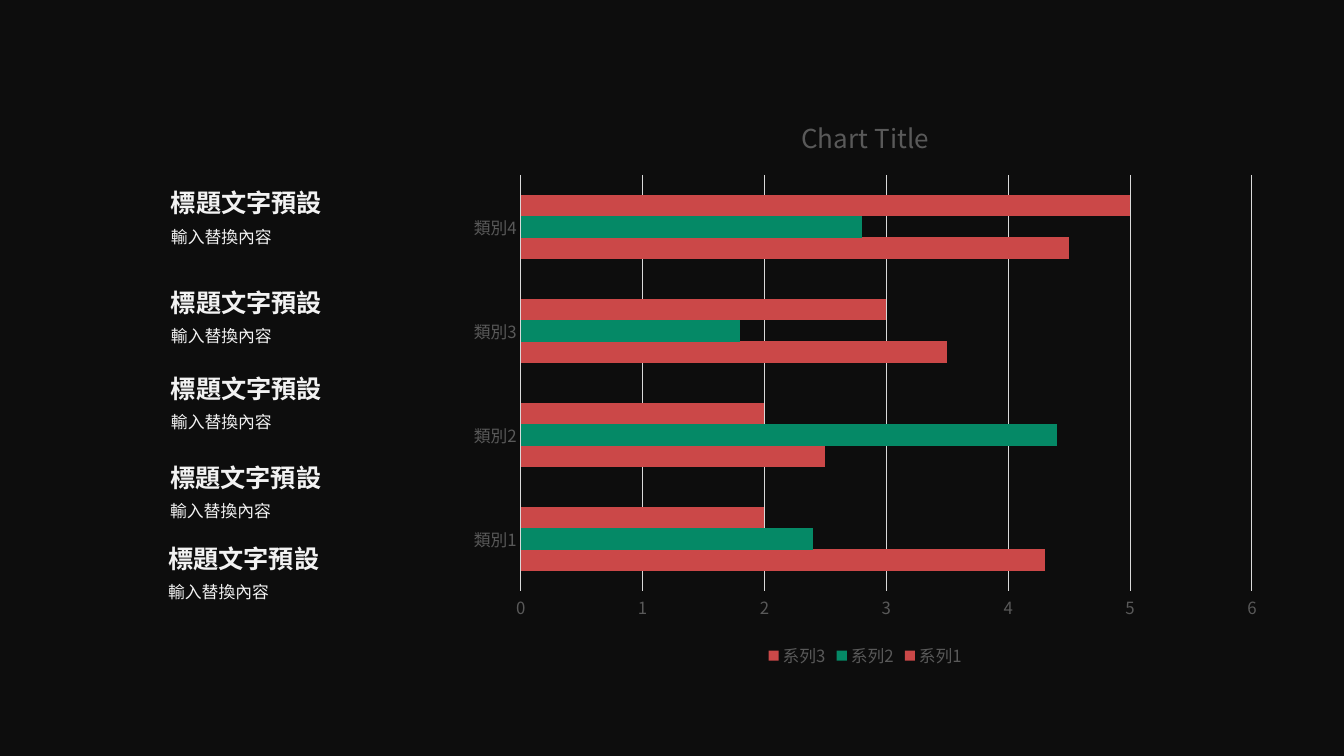
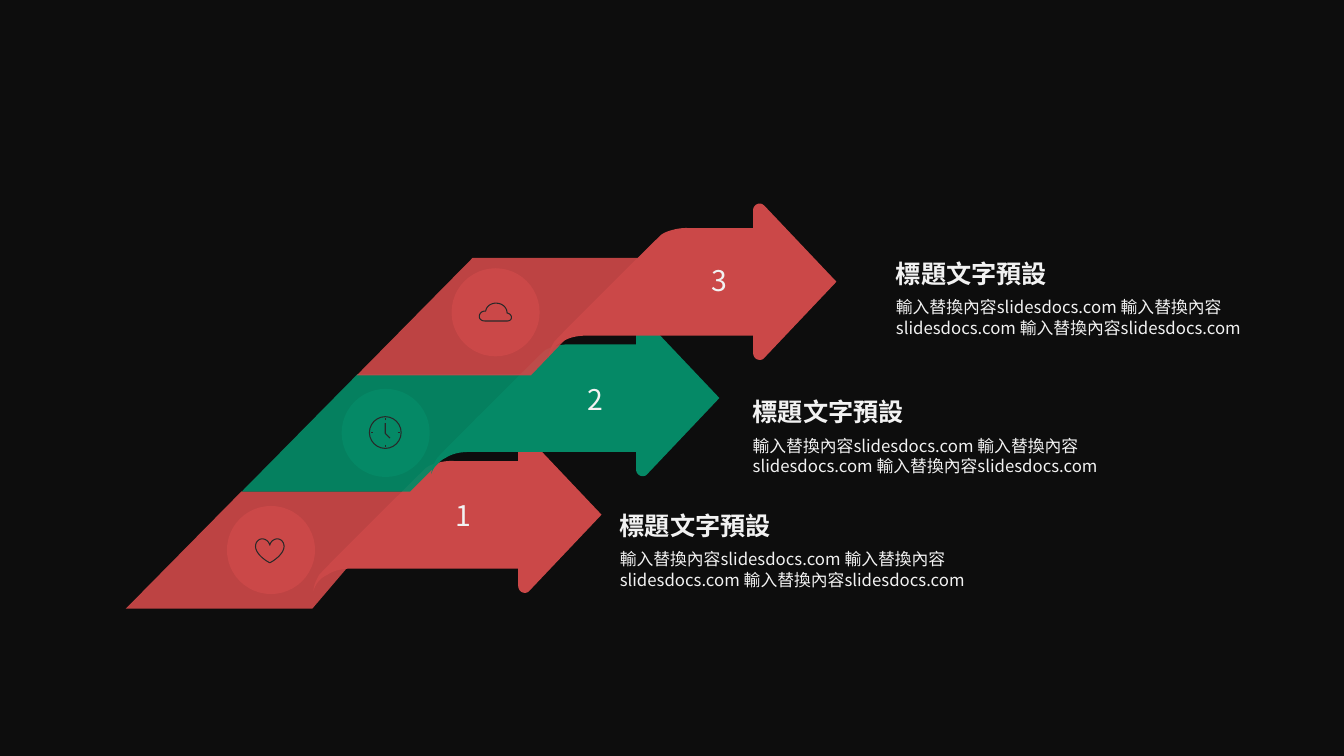
from dataclasses import dataclass

from lxml import etree
from pptx import Presentation
from pptx.chart.data import CategoryChartData
from pptx.dml.color import RGBColor
from pptx.enum.chart import XL_CHART_TYPE, XL_LEGEND_POSITION, XL_TICK_MARK
from pptx.enum.shapes import MSO_CONNECTOR, MSO_SHAPE
from pptx.enum.text import MSO_ANCHOR, PP_ALIGN
from pptx.oxml.ns import qn
from pptx.util import Cm, Pt

BAR_CLUSTERED = XL_CHART_TYPE.BAR_CLUSTERED
LEGEND_BOTTOM = XL_LEGEND_POSITION.BOTTOM
NO_TICK = XL_TICK_MARK.NONE
STRAIGHT = MSO_CONNECTOR.STRAIGHT
OVAL = MSO_SHAPE.OVAL
TOP, MIDDLE = MSO_ANCHOR.TOP, MSO_ANCHOR.MIDDLE
LEFT, CENTER = PP_ALIGN.LEFT, PP_ALIGN.CENTER

FONT = "Noto Sans CJK SC"
BACKDROP, LIGHT, INK = "0D0D0D", "F2F2F2", "282828"
RED, GREEN = "CB4848", "058966"
LABEL_GREY, GRID_GREY = "595959", "D9D9D9"

HEADING = "標題文字預設"
SHORT_BODY = "輸入替換內容"
LONG_BODY = " ".join([SHORT_BODY + "slidesdocs.com"] * 3)

DISC_SIZE = 2.22
BAND_HEIGHT = 2.96

ARROW = [
    (5.33, 3.94), (5.36, 3.94, 5.41, 3.93, 5.44, 3.89), (7.26, 1.97), (5.44, 0.05),
    (5.41, 0.03, 5.38, 0, 5.33, 0), (5.23, 0, 5.16, 0.08, 5.16, 0.17),
    (5.16, 0.62), (3.56, 0.62), (3.45, 0.61, 3.3, 0.62, 3.15, 0.66),
    (3.02, 0.69, 2.9, 0.74, 2.84, 0.79), (2.8, 0.82, 0.28, 3.32, 0.15, 3.48),
    (0.07, 3.6, 0, 3.78, 0, 3.89), (0.05, 3.71, 0.18, 3.56, 0.36, 3.48),
    (0.51, 3.38, 0.71, 3.33, 0.94, 3.33), (5.16, 3.33), (5.16, 3.76),
    (5.16, 3.86, 5.23, 3.94, 5.33, 3.94),
]
HEART = [
    (1.08, 0.99), (1.1, 0.9, 1.18, 0.83, 1.27, 0.83), (1.37, 0.83, 1.44, 0.92, 1.44, 1.02),
    (1.44, 1.22, 1.14, 1.41, 1.08, 1.43), (1.02, 1.41, 0.72, 1.22, 0.72, 1.02),
    (0.72, 0.92, 0.79, 0.83, 0.89, 0.83), (0.98, 0.83, 1.06, 0.9, 1.08, 0.99),
]
CLOUD = [
    (1.4, 1.33), (0.84, 1.33), (0.76, 1.33, 0.7, 1.28, 0.7, 1.22),
    (0.7, 1.14, 0.76, 1.08, 0.84, 1.08), (0.86, 1.08), (0.88, 0.96, 0.99, 0.88, 1.12, 0.88),
    (1.28, 0.88, 1.4, 0.99, 1.4, 1.13), (1.46, 1.14, 1.51, 1.18, 1.51, 1.24),
    (1.51, 1.3, 1.46, 1.33, 1.4, 1.33),
]
CLOCK_HANDS = [(1.1, 0.86), (1.1, 1.12), (1.22, 1.24)]


@dataclass
class Entry:
    left: float
    top: float
    body: str
    width: float


@dataclass
class Step:
    number: str
    color: str
    band: tuple
    band_foot: float
    arrow: tuple
    label: tuple
    disc: tuple
    icon: str
    entry: Entry


ENTRIES = [
    Entry(left, top, SHORT_BODY, 15.75)
    for left, top in [(4.06, 4.6), (4.06, 7.11), (4.06, 9.27), (4.04, 11.51), (3.99, 13.56)]
]
STEPS = [
    Step("1", RED, (3.17, 12.38), 4.7, (7.9, 11), (11, 12.5), (5.72, 12.75), "heart",
         Entry(15.37, 12.73, LONG_BODY, 9.7)),
    Step("2", GREEN, (6.09, 9.43), 4.24, (10.87, 8.06), (14.33, 9.58), (8.61, 9.8), "clock",
         Entry(18.72, 9.86, LONG_BODY, 9.7)),
    Step("3", RED, (8.99, 6.5), 4.39, (13.82, 5.13), (17.45, 6.58), (11.38, 6.76), "cloud",
         Entry(22.33, 6.38, LONG_BODY, 9.7)),
]


def rgb(color: str) -> RGBColor:
    return RGBColor.from_string(color)


def style_font(font, size: float, color: str, bold: bool = False) -> None:
    font.name = FONT
    font.size = Pt(size)
    font.bold = bold
    font.color.rgb = rgb(color)


def add_east_asian_fonts(root) -> None:
    for latin in list(root.iter(qn("a:latin"))):
        east_asian = etree.Element(qn("a:ea"))
        east_asian.set("typeface", FONT)
        latin.addnext(east_asian)


def add_text(slide, text: str, left: float, top: float, width: float, height: float,
             size: float, bold: bool = False, align=LEFT, anchor=TOP,
             inset_x: float = 0.25, inset_y: float = 0.13) -> None:
    box = slide.shapes.add_textbox(Cm(left), Cm(top), Cm(width), Cm(height))
    frame = box.text_frame
    frame.word_wrap = True
    frame.vertical_anchor = anchor
    frame.margin_left = frame.margin_right = Cm(inset_x)
    frame.margin_top = frame.margin_bottom = Cm(inset_y)
    frame.text = text
    frame.paragraphs[0].alignment = align
    style_font(frame.paragraphs[0].runs[0].font, size, LIGHT, bold)
    add_east_asian_fonts(box.element)


def add_entry(slide, entry: Entry) -> None:
    add_text(slide, entry.body, entry.left, entry.top + 0.98, entry.width, 1.55, 12)
    add_text(slide, HEADING, entry.left, entry.top, 6.1, 0.97, 18, bold=True)


def paint(shape, color: str, opacity: int = 100) -> None:
    shape.shadow.inherit = False
    shape.fill.solid()
    shape.fill.fore_color.rgb = rgb(color)
    shape.line.fill.background()
    if opacity < 100:
        tint = shape.element.spPr.find(".//" + qn("a:srgbClr"))
        etree.SubElement(tint, qn("a:alpha")).set("val", str(opacity * 1000))


def stroke(shape) -> None:
    shape.shadow.inherit = False
    shape.fill.background()
    shape.line.color.rgb = rgb(INK)
    shape.line.width = Pt(0.75)


def flatten(segments: list, divisions: int = 10) -> list:
    points = [segments[0]]
    for segment in segments[1:]:
        if len(segment) == 2:
            points.append(segment)
            continue
        controls = [points[-1], segment[:2], segment[2:4], segment[4:]]
        for index in range(1, divisions + 1):
            t = index / divisions
            weights = ((1 - t) ** 3, 3 * t * (1 - t) ** 2, 3 * t * t * (1 - t), t ** 3)
            points.append(tuple(
                sum(weight * point[axis] for weight, point in zip(weights, controls))
                for axis in (0, 1)
            ))
    return points


def add_outline(slide, origin: tuple, segments: list, close: bool = True):
    points = [(Cm(origin[0] + x), Cm(origin[1] + y)) for x, y in flatten(segments)]
    builder = slide.shapes.build_freeform(*points[0], scale=1.0)
    builder.add_line_segments(points[1:], close=close)
    return builder.convert_to_shape()


def add_circle(slide, left: float, top: float, size: float):
    return slide.shapes.add_shape(OVAL, Cm(left), Cm(top), Cm(size), Cm(size))


def add_clock(slide, origin: tuple) -> None:
    x, y = origin
    stroke(add_circle(slide, x + 0.7, y + 0.7, 0.8))
    stroke(add_outline(slide, origin, CLOCK_HANDS, close=False))
    for dx, dy in [(0, -1), (1, 0), (0, 1), (-1, 0)]:
        ends = [Cm(start + 1.1 + radius * step)
                for radius in (0.31, 0.36)
                for start, step in ((x, dx), (y, dy))]
        tick = slide.shapes.add_connector(STRAIGHT, *ends)
        tick.line.color.rgb = rgb(INK)
        tick.line.width = Pt(0.75)
        etree.SubElement(tick.element.spPr, qn("a:effectLst"))


def add_icon(slide, icon: str, origin: tuple) -> None:
    if icon == "clock":
        add_clock(slide, origin)
    else:
        stroke(add_outline(slide, origin, {"heart": HEART, "cloud": CLOUD}[icon]))


def add_step(slide, step: Step) -> None:
    band = [(7.22, 0), (2.92, 0), (0, BAND_HEIGHT), (step.band_foot, BAND_HEIGHT)]
    paint(add_outline(slide, step.band, band), step.color, opacity=93)
    paint(add_outline(slide, step.arrow, ARROW), step.color)
    add_text(slide, step.number, *step.label, 1.35, 0.97, 20.3,
             align=CENTER, anchor=MIDDLE, inset_x=0.1, inset_y=0.1)
    paint(add_circle(slide, *step.disc, DISC_SIZE), step.color)
    add_icon(slide, step.icon, step.disc)


def add_bar_chart(slide) -> None:
    data = CategoryChartData()
    data.categories = ["類別1", "類別2", "類別3", "類別4"]
    data.add_series("系列1", (4.3, 2.5, 3.5, 4.5))
    data.add_series("系列2", (2.4, 4.4, 1.8, 2.8))
    data.add_series("系列3", (2, 2, 3, 5))
    chart = slide.shapes.add_chart(
        BAR_CLUSTERED, Cm(11.53), Cm(2.34), Cm(20.55), Cm(14.6), data).chart
    style_font(chart.font, 10, LABEL_GREY)

    chart.has_title = True
    title = chart.chart_title.text_frame
    title.text = "Chart Title"
    style_font(title.paragraphs[0].runs[0].font, 18.6, LABEL_GREY)
    chart.chart_title.include_in_layout = False

    chart.has_legend = True
    chart.legend.position = LEGEND_BOTTOM
    chart.legend.include_in_layout = False
    style_font(chart.legend.font, 12, LABEL_GREY)

    categories, values = chart.category_axis, chart.value_axis
    for axis in (categories, values):
        axis.major_tick_mark = axis.minor_tick_mark = NO_TICK
        style_font(axis.tick_labels.font, 12, LABEL_GREY)
    values.minimum_scale, values.maximum_scale, values.major_unit = 0, 6, 1
    values.format.line.fill.background()
    values.has_major_gridlines = True
    for line in (categories.format.line, values.major_gridlines.format.line):
        line.color.rgb = rgb(GRID_GREY)
        line.width = Pt(0.75)

    plot = chart.plots[0]
    plot.gap_width, plot.overlap = 182, 1
    plot.vary_by_categories = False
    for series, color in zip(plot.series, (RED, GREEN, RED)):
        series.format.fill.solid()
        series.format.fill.fore_color.rgb = rgb(color)
    add_east_asian_fonts(chart.element if hasattr(chart, "element") else chart._chartSpace)


def main() -> None:
    deck = Presentation()
    deck.slide_width, deck.slide_height = Cm(33.87), Cm(19.05)
    backdrop = deck.slide_master.background.fill
    backdrop.solid()
    backdrop.fore_color.rgb = rgb(BACKDROP)
    blank = deck.slide_layouts[6]

    chart_slide = deck.slides.add_slide(blank)
    for entry in ENTRIES:
        add_entry(chart_slide, entry)
    add_bar_chart(chart_slide)

    steps_slide = deck.slides.add_slide(blank)
    for step in STEPS:
        add_step(steps_slide, step)
    for step in STEPS:
        add_entry(steps_slide, step.entry)

    deck.save("out.pptx")


if __name__ == "__main__":
    main()
